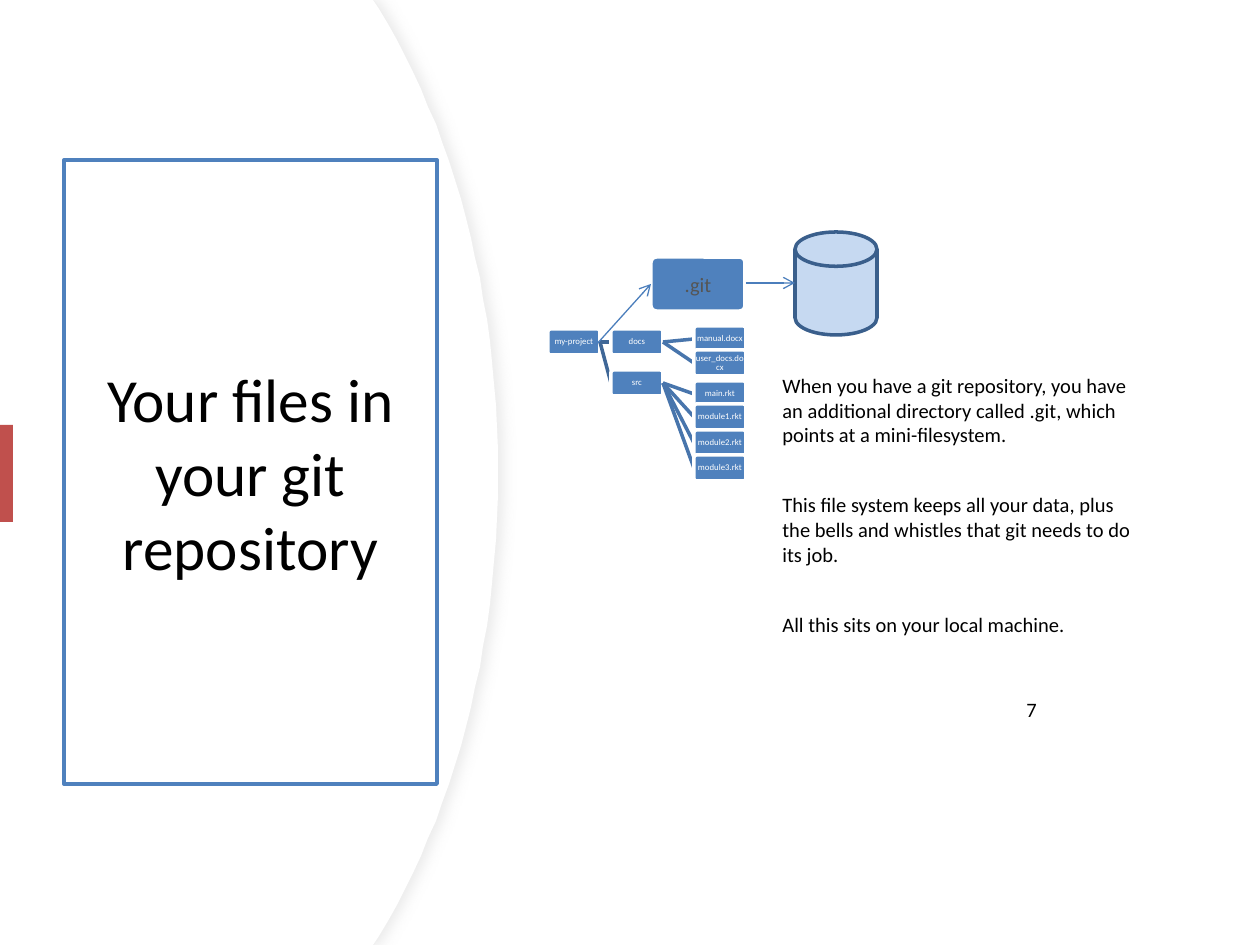
from lxml import etree
from pptx import Presentation
from pptx.dml.color import RGBColor
from pptx.enum.shapes import MSO_CONNECTOR, MSO_SHAPE
from pptx.enum.text import MSO_ANCHOR, PP_ALIGN
from pptx.oxml.ns import qn
from pptx.util import Pt

PX = 914400 // 126
FONT = "Calibri"
WHITE = RGBColor(0xFF, 0xFF, 0xFF)
BLACK = RGBColor(0, 0, 0)
GRAY = RGBColor(0x55, 0x55, 0x55)
EDGE = RGBColor(0xEF, 0xEF, 0xEF)
BLUE = RGBColor(0x4F, 0x81, 0xBD)
RED = RGBColor(0xC0, 0x50, 0x4D)
LIGHT_BLUE = RGBColor(0xC6, 0xD9, 0xF1)
DARK_BLUE = RGBColor(0x3A, 0x5F, 0x8C)
ARROW = RGBColor(0x4B, 0x7E, 0xBC)
LINK = {1: RGBColor(0x3F, 0x67, 0x97), 2: RGBColor(0x48, 0x75, 0xAC)}

WIDTH, HEIGHT = 1260, 945
TITLE = "Your files in your git repository"
NOTES = [
    "When you have a git repository, you have an additional directory called .git, "
    "which points at a mini-filesystem.",
    "This file system keeps all your data, plus the bells and whistles that git needs "
    "to do its job.",
    "All this sits on your local machine.",
]
NODE_W, NODE_H = 52, 26
LEVEL_X = [548, 611, 694]
# name, level, top, parent
TREE = [
    ("my-project", 0, 329, None),
    ("docs", 1, 329, "my-project"),
    ("manual.docx", 2, 326, "docs"),
    ("user_docs.docx", 2, 350, "docs"),
    ("src", 1, 370, "my-project"),
    ("main.rkt", 2, 381, "src"),
    ("module1.rkt", 2, 404, "src"),
    ("module2.rkt", 2, 430, "src"),
    ("module3.rkt", 2, 455, "src"),
]
ARROWS = [((746, 283), (795, 283)), ((596, 345), (651, 284))]
# Upper half of the panel's curved edge, as Bezier control points
CURVE = [(379, 9), (452, 129), (498, 292), (498, 472)]
CURVE_STEPS = 24

prs = Presentation()
prs.slide_width, prs.slide_height = WIDTH * PX, HEIGHT * PX
slide = prs.slides.add_slide(prs.slide_layouts[6])
shapes = slide.shapes


def emu(*lengths):
    return [n * PX for n in lengths]


def paint(sp, fill=None, line=None, width=0):
    sp.shadow.inherit = False
    if fill is None:
        sp.fill.background()
    else:
        sp.fill.solid()
        sp.fill.fore_color.rgb = fill
    if line is None:
        sp.line.fill.background()
    else:
        sp.line.color.rgb = line
        sp.line.width = Pt(width)
    return sp


def add_box(kind, box, **style):
    return paint(shapes.add_shape(kind, *emu(*box)), **style)


def write(sp, texts, size, color, align=PP_ALIGN.LEFT, anchor=MSO_ANCHOR.TOP,
          inset=None, after=0, spacing=None):
    tf = sp.text_frame
    tf.word_wrap = True
    tf.vertical_anchor = anchor
    if inset is not None:
        tf.margin_left = tf.margin_right = tf.margin_top = tf.margin_bottom = inset * PX
    tf.text = "\n".join(texts)
    for p in tf.paragraphs:
        p.alignment = align
        p.space_after = Pt(after)
        p.line_spacing = spacing
        for r in p.runs:
            r.font.name, r.font.size = FONT, Pt(size)
            r.font.color.rgb = color


def add_line(start, end, color, width, arrow=False):
    line = shapes.add_connector(MSO_CONNECTOR.STRAIGHT, *emu(*start, *end))
    line.line.color.rgb = color
    line.line.width = Pt(width)
    if arrow:
        etree.SubElement(line.line._get_or_add_ln(), qn("a:tailEnd"), type="arrow")
    etree.SubElement(line._element.spPr, qn("a:effectLst"))


def bezier(t):
    weights = [(1 - t) ** 3, 3 * t * (1 - t) ** 2, 3 * t * t * (1 - t), t ** 3]
    return tuple(sum(w * pt[i] for w, pt in zip(weights, CURVE)) for i in (0, 1))


def add_panel(**style):
    upper = [(373, 0)] + [bezier(i / CURVE_STEPS) for i in range(CURVE_STEPS + 1)]
    lower = [(x, HEIGHT - y) for x, y in reversed(upper)]
    builder = shapes.build_freeform(0, 0, scale=PX)
    builder.add_line_segments(upper + lower + [(0, HEIGHT)], close=True)
    return paint(builder.convert_to_shape(), **style)


def add_soft_shadow(sp):
    effects = sp._element.spPr.find(qn("a:effectLst"))
    shadow = etree.SubElement(effects, qn("a:outerShdw"), blurRad=str(Pt(7)),
                              dist=str(Pt(3)), dir="0", algn="l", rotWithShape="0")
    color = etree.SubElement(shadow, qn("a:srgbClr"), val="D9D9D9")
    etree.SubElement(color, qn("a:alpha"), val="50000")


def add_node(box, text, size, color, **text_style):
    sp = add_box(MSO_SHAPE.ROUNDED_RECTANGLE, box, fill=BLUE, line=WHITE, width=2)
    sp.adjustments[0] = 0.1
    write(sp, [text], size, color, PP_ALIGN.CENTER, MSO_ANCHOR.MIDDLE, **text_style)


def add_tree():
    outlets = {}
    for name, level, top, parent in TREE:
        left, middle = LEVEL_X[level], top + NODE_H // 2
        if parent:
            add_line(outlets[parent], (left, middle), LINK[level], 2)
        add_node((left, top, NODE_W, NODE_H), name, 5, WHITE, inset=1, spacing=0.9)
        outlets[name] = (left + NODE_W, middle)


add_soft_shadow(add_panel(fill=WHITE, line=EDGE, width=0.75))
add_panel(fill=WHITE)
title = add_box(MSO_SHAPE.RECTANGLE, (64, 160, 373, 624), line=BLUE, width=2.25)
write(title, [TITLE], 35, BLACK, PP_ALIGN.CENTER, MSO_ANCHOR.MIDDLE)
add_box(MSO_SHAPE.RECTANGLE, (0, 425, 13, 97), fill=RED)

add_tree()
add_node((651, 257, 94, 54), ".git", 11.7, GRAY)
add_box(MSO_SHAPE.FLOWCHART_MAGNETIC_DISK, (795, 232, 82, 103),
        fill=LIGHT_BLUE, line=DARK_BLUE, width=2)
for start, end in ARROWS:
    add_line(start, end, ARROW, 0.75, arrow=True)

write(shapes.add_textbox(*emu(770, 367, 386, 278)), NOTES, 11.7, BLACK, after=26)
write(shapes.add_textbox(*emu(1014, 691, 192, 33)), ["7"], 11.7, BLACK)

prs.save("out.pptx")
